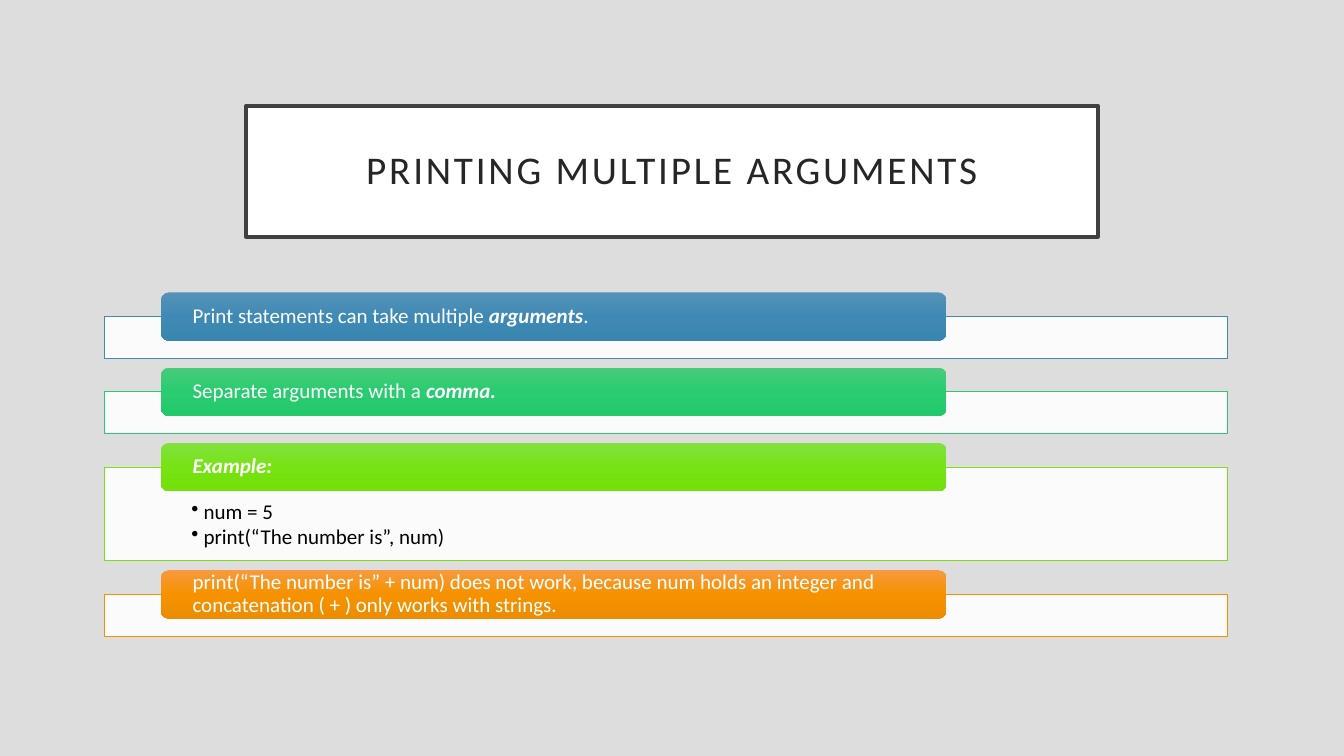
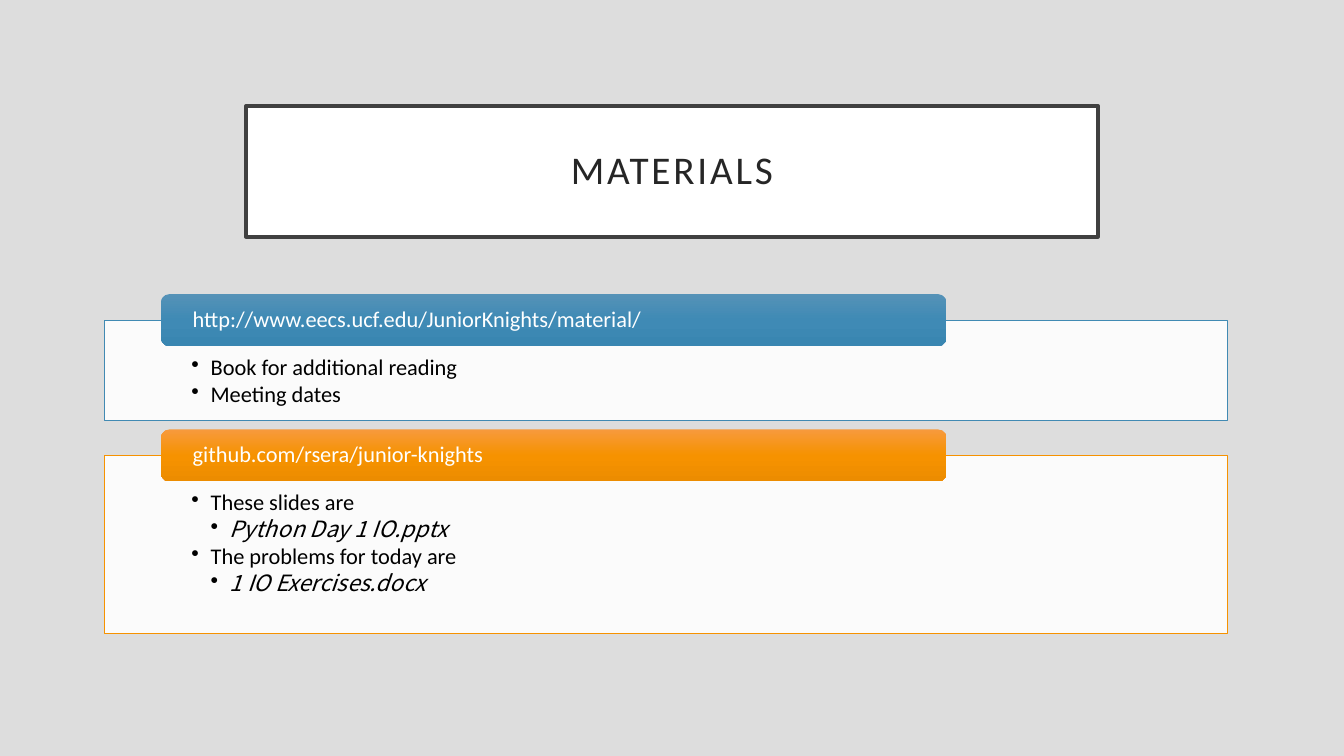
from lxml.etree import SubElement
from pptx import Presentation
from pptx.dml.color import RGBColor
from pptx.enum.shapes import MSO_SHAPE
from pptx.enum.text import MSO_ANCHOR, PP_ALIGN
from pptx.oxml import parse_xml
from pptx.oxml.ns import nsdecls, qn
from pptx.util import Inches, Pt

WIDTH, HEIGHT = Inches(13.33), Inches(7.5)
COLUMN, ROW = WIDTH / 100, HEIGHT / 100
FONT, FILE_FONT = "Calibri", "Noto Sans CJK SC"
BACKGROUND, WHITE, BLACK = "DDDDDD", "FFFFFF", "000000"
TITLE_TEXT, TITLE_LINE = "262626", "404040"
LIST_LEFT, LIST_WIDTH = 7.8, 83.5
GAP = 1.25

THEMES = {
    "blue": ("418AB3", ("5592B7", "3F8AB5", "3986B1")),
    "green": ("2BC970", ("47CC7B", "29CC70", "22C96B")),
    "lime": ("78E016", ("82E13F", "77E313", "72E00B")),
    "orange": ("F69200", ("F79A3D", "F69200", "EC8C00")),
}

STRONG = {"bold": True, "italic": True}
FILE_NAME = {"name": FILE_FONT, "italic": True}

ARGUMENTS = {
    "title": "PRINTING MULTIPLE ARGUMENTS",
    "top": 38.67, "tab": 6.4, "size": 15, "indent": 0.12,
    "sections": [
        ("blue", 5.5, [("Print statements can take multiple ", {}),
                       ("arguments", STRONG), (".", {})], []),
        ("green", 5.5, [("Separate arguments with a ", {}), ("comma.", STRONG)], []),
        ("lime", 12.4, [("Example:", STRONG)],
         [(1, "num = 5", {}), (1, "print(“The number is”, num)", {})]),
        ("orange", 5.5, [("print(“The number is” + num) does not work, because num holds "
                          "an integer and concatenation ( + ) only works with strings.", {})], []),
    ],
}

MATERIALS = {
    "title": "MATERIALS",
    "top": 38.9, "tab": 6.9, "size": 16, "indent": 0.19,
    "sections": [
        ("blue", 13.2, [("http://www.eecs.ucf.edu/JuniorKnights/material/", {})],
         [(1, "Book for additional reading", {}), (1, "Meeting dates", {})]),
        ("orange", 23.5, [("github.com/rsera/junior-knights", {})],
         [(1, "These slides are", {}), (2, "Python Day 1 IO.pptx", FILE_NAME),
          (1, "The problems for today are", {}), (2, "1 IO Exercises.docx", FILE_NAME)]),
    ],
}


def color(value):
    return RGBColor.from_string(value)


def set_all(target, values):
    for name, value in values.items():
        setattr(target, name, value)


def place(shape, left, top, width, height):
    set_all(shape, {"left": round(left * COLUMN), "top": round(top * ROW),
                    "width": round(width * COLUMN), "height": round(height * ROW)})


def set_frame(shape, anchor, left, top, right, bottom):
    set_all(shape.text_frame, {
        "word_wrap": True, "vertical_anchor": anchor,
        "margin_left": Inches(left), "margin_top": Inches(top),
        "margin_right": Inches(right), "margin_bottom": Inches(bottom)})


def add_run(paragraph, text, size, text_color, style):
    run = paragraph.add_run()
    run.text = text
    set_all(run.font, {"name": FONT, "size": Pt(size), **style})
    run.font.color.rgb = color(text_color)
    return run


def add_box(slide, kind, *box):
    shape = slide.shapes.add_shape(kind, 0, 0, 0, 0)
    place(shape, *box)
    shape.shadow.inherit = False
    return shape


def outline(shape, fill, line, width):
    shape.fill.solid()
    shape.fill.fore_color.rgb = color(fill)
    shape.line.color.rgb = color(line)
    shape.line.width = Pt(width)


def fill_gradient(shape, stops):
    marks = "".join(
        f'<a:gs pos="{index * 50000}"><a:srgbClr val="{stop}"/></a:gs>'
        for index, stop in enumerate(stops))
    gradient = parse_xml(
        f'<a:gradFill {nsdecls("a")} rotWithShape="1"><a:gsLst>{marks}</a:gsLst>'
        '<a:lin ang="5400000" scaled="0"/></a:gradFill>')
    shape.element.spPr.find(qn("a:prstGeom")).addnext(gradient)


def add_title(slide, text):
    title = slide.shapes.title
    place(title, 18.3, 14, 63.4, 17.33)
    outline(title, WHITE, TITLE_LINE, 2.5)
    set_frame(title, MSO_ANCHOR.MIDDLE, 0.2, 0.2, 0.2, 0.2)
    paragraph = title.text_frame.paragraphs[0]
    set_all(paragraph, {"alignment": PP_ALIGN.CENTER, "line_spacing": 0.9})
    run = add_run(paragraph, text, 28, TITLE_TEXT, {})
    run.font._element.set("spc", "200")


def add_panel(slide, box, line, bullets, tab, size, indent):
    panel = add_box(slide, MSO_SHAPE.RECTANGLE, *box)
    outline(panel, WHITE, line, 0.5)
    fill = panel.element.spPr.find(qn("a:solidFill"))
    SubElement(fill[0], qn("a:alpha")).set("val", "90000")
    half_tab = tab / 2 * HEIGHT / 100 / Inches(1)
    set_frame(panel, MSO_ANCHOR.TOP, 0.86, half_tab + 0.1, 0.86, 0.12)
    for index, (level, text, style) in enumerate(bullets):
        frame = panel.text_frame
        paragraph = frame.add_paragraph() if index else frame.paragraphs[0]
        properties = paragraph._p.get_or_add_pPr()
        properties.set("marL", str(Inches(indent * level)))
        properties.set("indent", str(-Inches(indent)))
        SubElement(properties, qn("a:buChar")).set("char", "•")
        set_all(paragraph, {"level": level, "alignment": PP_ALIGN.LEFT,
                            "line_spacing": 0.9, "space_after": Pt(2)})
        add_run(paragraph, text, size, BLACK, style)


def add_tab(slide, box, stops, heading, size):
    tab = add_box(slide, MSO_SHAPE.ROUNDED_RECTANGLE, *box)
    fill_gradient(tab, stops)
    tab.line.fill.background()
    set_frame(tab, MSO_ANCHOR.MIDDLE, 0.29, 0, 0.29, 0)
    paragraph = tab.text_frame.paragraphs[0]
    set_all(paragraph, {"alignment": PP_ALIGN.LEFT, "line_spacing": 0.9})
    for text, style in heading:
        add_run(paragraph, text, size, WHITE, style)


def add_list_slide(presentation, content):
    slide = presentation.slides.add_slide(presentation.slide_layouts[5])
    add_title(slide, content["title"])
    top, tab, size = content["top"], content["tab"], content["size"]
    for theme, height, heading, bullets in content["sections"]:
        line, stops = THEMES[theme]
        panel_top = top + tab / 2
        add_panel(slide, (LIST_LEFT, panel_top, LIST_WIDTH, height),
                  line, bullets, tab, size, content["indent"])
        add_tab(slide, (LIST_LEFT + LIST_WIDTH * 0.05, top, LIST_WIDTH * 0.7, tab),
                stops, heading, size)
        top = panel_top + height + GAP


def main():
    presentation = Presentation()
    set_all(presentation, {"slide_width": WIDTH, "slide_height": HEIGHT})
    background = presentation.slide_master.background.fill
    background.solid()
    background.fore_color.rgb = color(BACKGROUND)
    for content in (ARGUMENTS, MATERIALS):
        add_list_slide(presentation, content)
    presentation.save("out.pptx")


if __name__ == "__main__":
    main()
